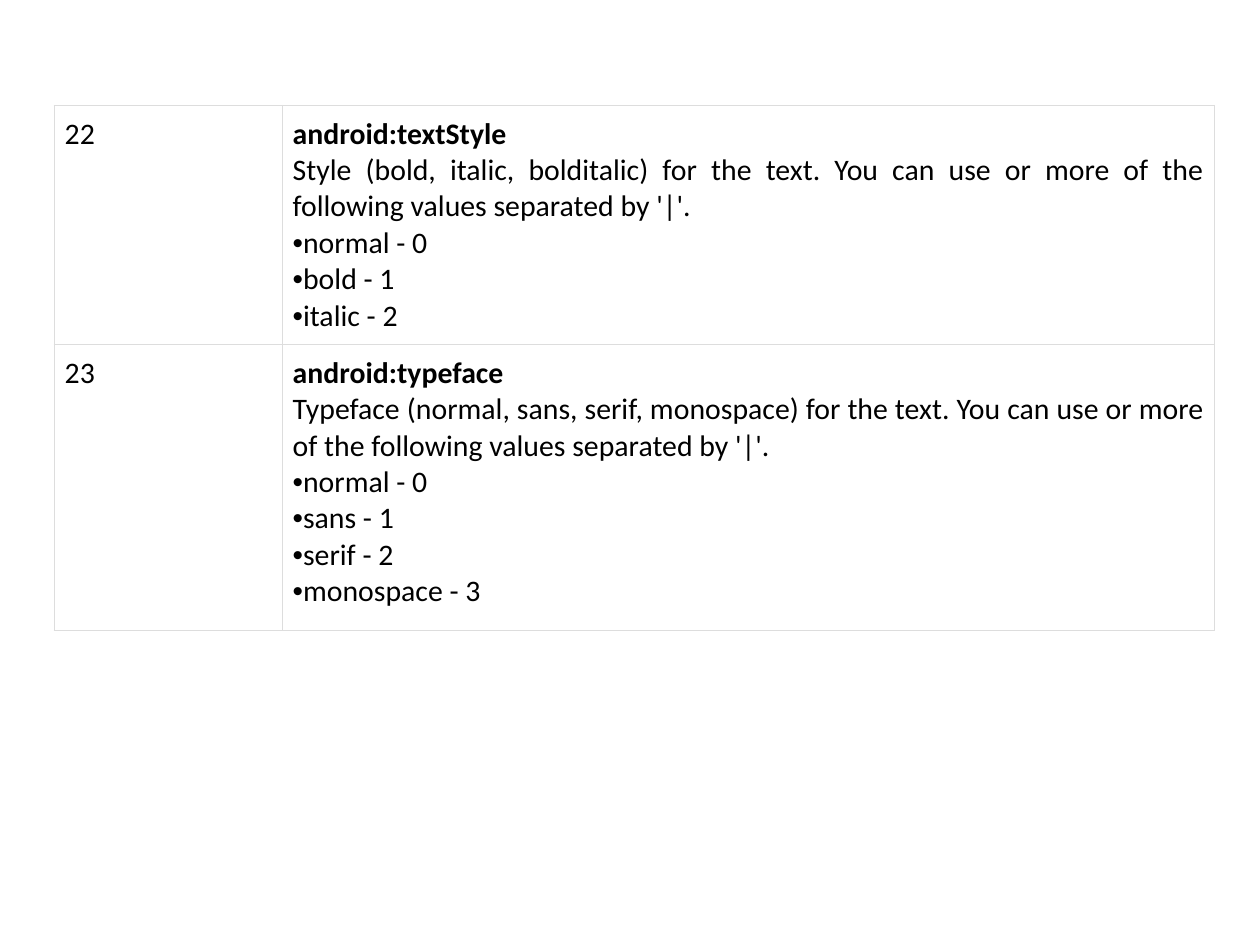
from lxml.etree import SubElement
from pptx import Presentation
from pptx.dml.color import RGBColor
from pptx.enum.text import PP_ALIGN as AL
from pptx.oxml.ns import qn
from pptx.util import Pt


def color(value):
    return RGBColor.from_string(value)


def add_solid(parent, value):
    fill = SubElement(parent, qn("a:solidFill"))
    SubElement(fill, qn("a:srgbClr"), val=value)


rows = [
    ("22", "android:textStyle",
     "Style (bold, italic, bolditalic) for the text. You can use or more of the following values separated by '|'.",
     ["normal - 0", "bold - 1", "italic - 2"]),
    ("23", "android:typeface",
     "Typeface (normal, sans, serif, monospace) for the text. You can use or more of the following values separated by '|'.",
     ["normal - 0", "sans - 1", "serif - 2", "monospace - 3"]),
]
widths = [130.3, 532.8]
heights = [130.3, 163.4]

prs = Presentation()
prs.slide_width, prs.slide_height = Pt(720), Pt(540)
s = prs.slides.add_slide(prs.slide_layouts[6])

table = s.shapes.add_table(len(rows), 2, Pt(31), Pt(60.2), Pt(sum(widths)), Pt(sum(heights))).table
table.first_row = False
table.horz_banding = False
for col, width in zip(table.columns, widths):
    col.width = Pt(width)
for row, height in zip(table.rows, heights):
    row.height = Pt(height)

for i, (number, name, description, values) in enumerate(rows):
    table.cell(i, 0).text_frame.text = number
    tf = table.cell(i, 1).text_frame
    tf.text = "\n".join([name, description, *values])
    for p in tf.paragraphs[:2]:
        p.alignment = AL.JUSTIFY
    for p in tf.paragraphs[2:]:
        pPr = p._p.get_or_add_pPr()
        pPr.set("marL", "0")
        pPr.set("indent", str(Pt(-8.64)))
        add_solid(SubElement(pPr, qn("a:buClr")), "000000")
        clr = pPr.find(qn("a:buClr"))
        clr.append(clr[0][0])
        clr.remove(clr[0])
        SubElement(pPr, qn("a:buFont"), typeface="Arial")
        SubElement(pPr, qn("a:buChar"), char="•")

for cell in table.iter_cells():
    cell.margin_left = cell.margin_right = Pt(6)
    cell.margin_top = cell.margin_bottom = Pt(6)
    tcPr = cell._tc.get_or_add_tcPr()
    for side in ("a:lnL", "a:lnR", "a:lnT", "a:lnB"):
        add_solid(SubElement(tcPr, qn(side), w=str(Pt(0.75))), "DDDDDD")
    cell.fill.background()
    for p in cell.text_frame.paragraphs:
        for r in p.runs:
            r.font.name = "Calibri"
            r.font.size = Pt(17)
            r.font.bold = r.text.startswith("android:")
            r.font.color.rgb = color("000000")

prs.save("out.pptx")
